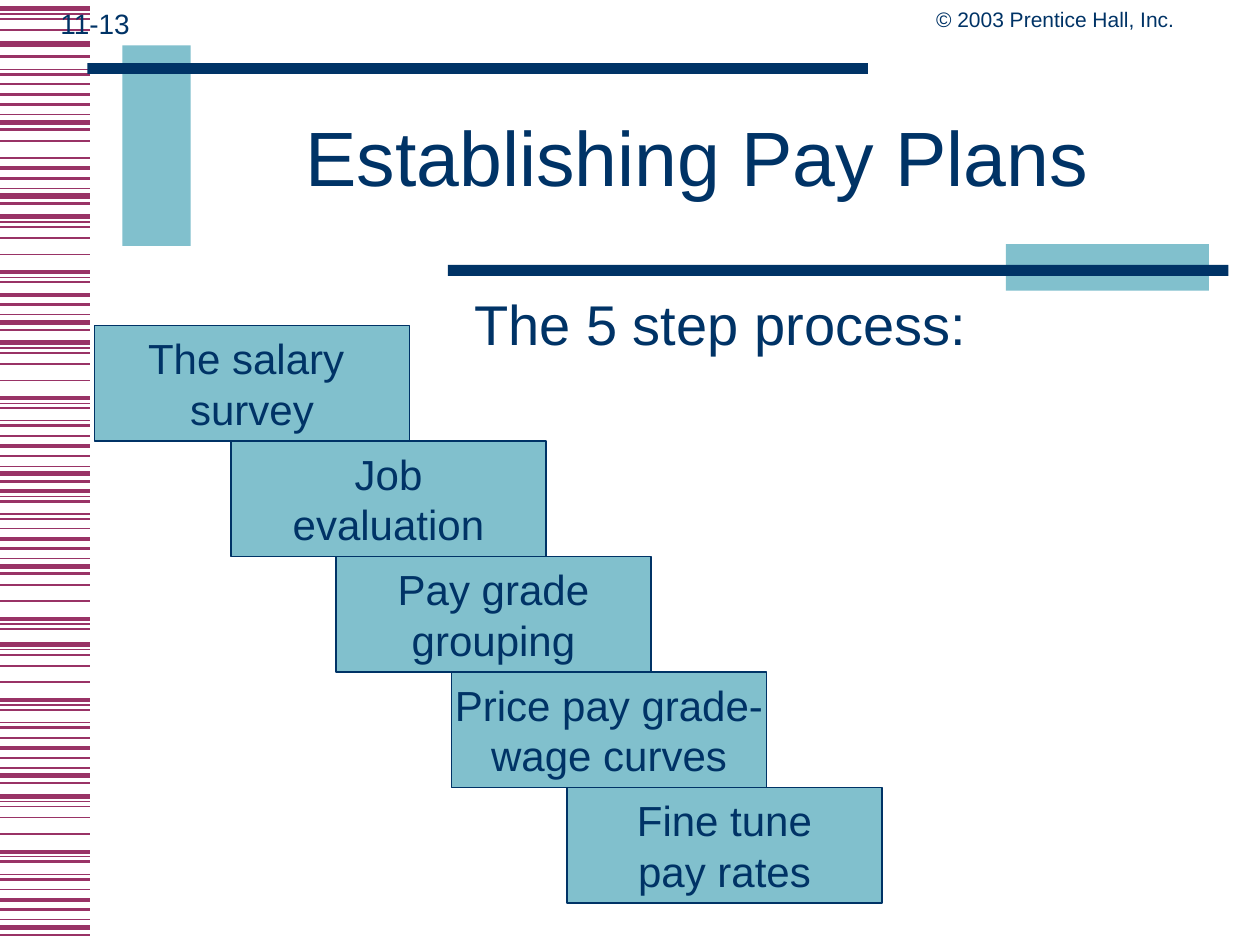
import pptx
import pptx.dml.color
import pptx.enum.shapes
import pptx.enum.text
import pptx.oxml.ns
import pptx.util
from lxml import etree

Pt = pptx.util.Pt
ALIGN = pptx.enum.text.PP_ALIGN
ANCHOR = pptx.enum.text.MSO_ANCHOR


def color(value):
    return pptx.dml.color.RGBColor.from_string(value)


class SlideBuilder:
    FONT = "Arial"
    NAVY = "003366"
    TEAL = "81C0CD"
    PLUM = "993366"

    def __init__(self, slide):
        self.slide = slide

    def stripe(self, y, weight, width=51.2):
        line = self.slide.shapes.add_connector(
            pptx.enum.shapes.MSO_CONNECTOR.STRAIGHT, 0, Pt(y), Pt(width), Pt(y))
        line.line.color.rgb = color(self.PLUM)
        line.line.width = Pt(weight)
        properties = line._element.spPr
        etree.SubElement(properties, pptx.oxml.ns.qn("a:effectLst"))

    def rectangle(self, left, top, width, height, fill):
        shape = self.slide.shapes.add_shape(
            pptx.enum.shapes.MSO_SHAPE.RECTANGLE,
            Pt(left), Pt(top), Pt(width), Pt(height))
        shape.shadow.inherit = False
        shape.fill.solid()
        shape.fill.fore_color.rgb = color(fill)
        shape.line.fill.background()
        return shape

    def set_text(self, shape, text, size, align, anchor, wrap, spacing=1.0):
        """Fill the text frame of a shape, one paragraph for each line."""
        frame = shape.text_frame
        frame.text = text
        frame.word_wrap = wrap
        frame.vertical_anchor = anchor
        for paragraph in frame.paragraphs:
            paragraph.alignment = align
            paragraph.line_spacing = spacing
            paragraph.font.name = self.FONT
            paragraph.font.size = Pt(size)
            paragraph.font.color.rgb = color(self.NAVY)

    def text(self, left, top, width, height, text, size, align=ALIGN.LEFT,
             anchor=ANCHOR.TOP, wrap=True, spacing=1.0):
        box = self.slide.shapes.add_textbox(
            Pt(left), Pt(top), Pt(width), Pt(height))
        self.set_text(box, text, size, align, anchor, wrap, spacing)
        return box

    def step(self, left, top, width, height, text):
        shape = self.rectangle(left, top, width, height, self.TEAL)
        shape.line.color.rgb = color(self.NAVY)
        shape.line.width = Pt(0.75)
        self.set_text(shape, text, 24, ALIGN.CENTER, ANCHOR.MIDDLE, wrap=False)


# Stripe groups: (offset, line weight)
SHORT_GROUP = [(0, 1), (5.8, 2.25), (11.5, 1.5), (17.3, 0.75), (21.6, 3), (25.9, 1.5)]
LONG_GROUP = [(0, 3), (3, 0.75), (5.8, 1), (12.2, 1), (21.6, 1), (31.7, 2.25),
              (34.6, 0.75), (37.4, 1.5), (44.6, 0.75), (47.5, 1.5)]
SINGLE_STRIPES = [(25.2, 3), (32.4, 1.5), (39.6, 0.75), (42.5, 1.5), (80.6, 1)]
STRIPE_GROUPS = [
    (0, SINGLE_STRIPES),
    (5, LONG_GROUP[:4]),
    (48.2, SHORT_GROUP),
    (90.4, SHORT_GROUP),
    (123.8, LONG_GROUP[:8]),
    (162.6, SHORT_GROUP[1:]),
    (195.8, LONG_GROUP),
    (249.1, SHORT_GROUP),
    (249.1, LONG_GROUP[5:]),
    (302, SHORT_GROUP),
    (322, LONG_GROUP[3:8]),
    (368.3, LONG_GROUP),
    (421.6, SHORT_GROUP),
    (455, LONG_GROUP),
    (508.3, SHORT_GROUP),
]
STEPS = [
    (54, "The salary \nsurvey"),
    (132, "Job\nevaluation"),
    (192, "Pay grade\ngrouping"),
    (258, "Price pay grade-\nwage curves"),
    (324, "Fine tune\npay rates"),
]
STEP_TOP, STEP_WIDTH, STEP_HEIGHT = 186, 180, 66


def main():
    presentation = pptx.Presentation()
    presentation.slide_width = Pt(720)
    presentation.slide_height = Pt(540)
    slide = presentation.slides.add_slide(presentation.slide_layouts[6])
    builder = SlideBuilder(slide)

    for start, group in STRIPE_GROUPS:
        for offset, weight in group:
            builder.stripe(start + offset, weight)

    builder.rectangle(70, 26, 39, 114.5, builder.TEAL)
    builder.rectangle(50, 36, 446, 6.2, builder.NAVY)
    builder.rectangle(574.8, 139.5, 116, 26.6, builder.TEAL)
    builder.rectangle(256, 151.4, 446, 6.2, builder.NAVY)

    builder.text(527.8, 0, 150.5, 21.6, "© 2003 Prentice Hall, Inc.", 12, wrap=False)
    builder.text(27.4, 0, 110, 26.6, "11-13", 16)
    builder.text(108, 48, 581, 90, "Establishing Pay Plans", 44,
                 ALIGN.CENTER, ANCHOR.MIDDLE, spacing=0.85)
    subtitle = builder.text(264, 156, 423, 65.5, "The 5 step process:", 32)
    subtitle.text_frame.margin_top = Pt(9.4)

    for index, (left, label) in enumerate(STEPS):
        builder.step(left, STEP_TOP + index * STEP_HEIGHT,
                     STEP_WIDTH, STEP_HEIGHT, label)

    presentation.save("out.pptx")


if __name__ == "__main__":
    main()
